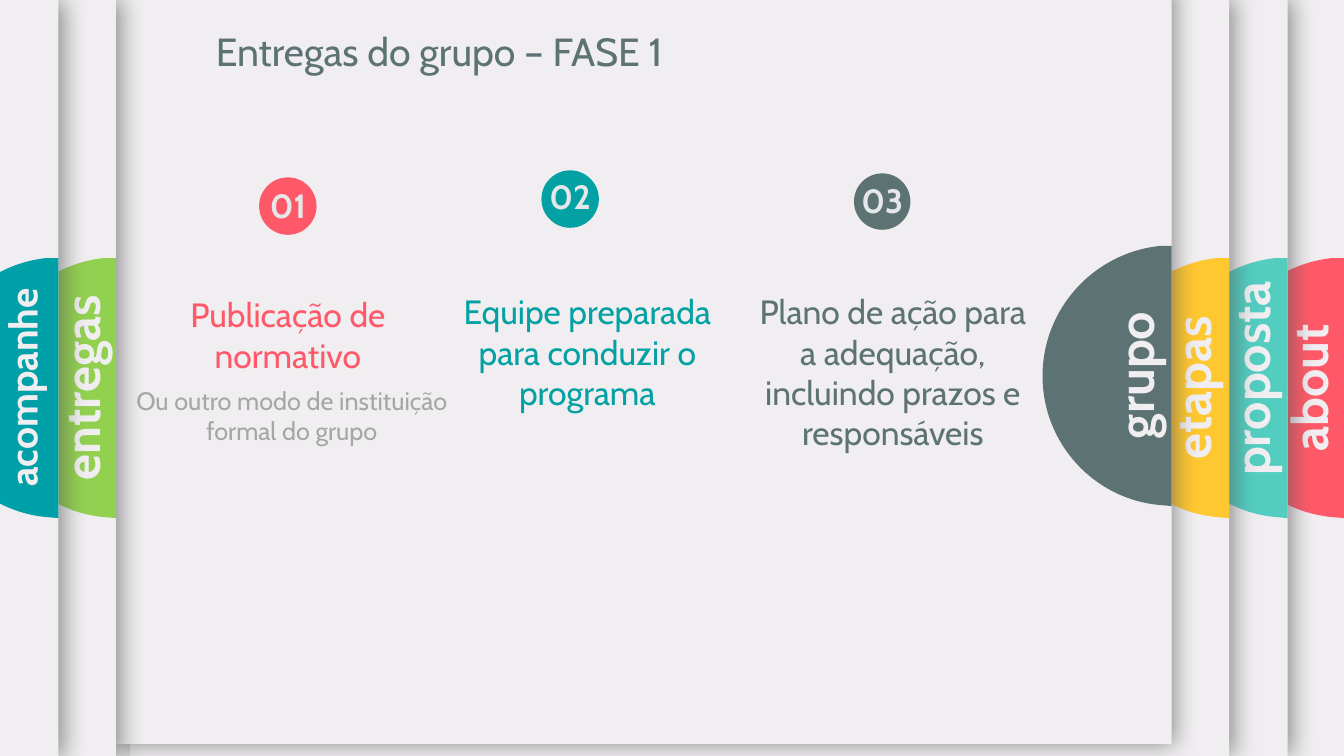
from dataclasses import dataclass

from lxml import etree
from pptx import Presentation
from pptx.dml.color import RGBColor
from pptx.enum.shapes import MSO_SHAPE
from pptx.enum.text import MSO_ANCHOR, MSO_AUTO_SIZE, PP_ALIGN
from pptx.oxml.ns import qn
from pptx.util import Inches, Pt

RECTANGLE, OVAL = MSO_SHAPE.RECTANGLE, MSO_SHAPE.OVAL
LEFT, CENTER = PP_ALIGN.LEFT, PP_ALIGN.CENTER
TOP = MSO_ANCHOR.TOP
GROW = MSO_AUTO_SIZE.SHAPE_TO_FIT_TEXT


@dataclass(frozen=True)
class Theme:
    font: str = "Cabin"
    paper: str = "F0EEF0"
    shadow: str = "595959"
    coral: str = "FF5969"
    mint: str = "52CDC0"
    yellow: str = "FFC730"
    slate: str = "5D7373"
    green: str = "92D050"
    blue: str = "00A0A8"
    teal: str = "03A1A4"
    number: str = "E6E7E9"
    note: str = "A6A6A6"
    tab_size: int = 36
    title_size: int = 28
    step_size: int = 24
    note_size: int = 18


THEME = Theme()

TITLE = "Entregas do grupo – FASE 1"
# label, left, right, top, colour, type size, label (left, top, height); back to front
PANELS = [
    ("about", -0.32, 13.33, 0, THEME.coral, THEME.tab_size, (11.89, 3.49, 0.71)),
    ("proposta", 0.25, 12.77, 0, THEME.mint, THEME.tab_size, (11.32, 3.4, 0.71)),
    ("etapas", 1.29, 12.19, 0, THEME.yellow, THEME.tab_size, (10.73, 3.49, 0.71)),
    ("grupo", 1.14, 11.62, -0.12, THEME.slate, THEME.tab_size, (10.17, 3.37, 0.71)),
    ("entregas", -8.35, 1.15, 0, THEME.green, THEME.tab_size, (-0.29, 3.49, 0.71)),
    ("acompanhe", -10.27, 0.58, 0, THEME.blue, THEME.title_size, (-0.87, 3.56, 0.57)),
]
# number, colour, badge (left, top, size), number top, heading, heading (left, top, height)
STEPS = [
    ("01", THEME.coral, (2.57, 1.76, 0.57), 1.79,
     "Publicação de normativo", (1.41, 2.87, 0.91)),
    ("02", THEME.teal, (5.37, 1.69, 0.57), 1.7,
     "Equipe preparada para conduzir o programa", (4.38, 2.84, 1.31)),
    ("03", THEME.slate, (8.47, 1.72, 0.56), 1.74,
     "Plano de ação para a adequação, incluindo prazos e responsáveis", (7.41, 2.84, 1.72)),
]
NOTE = "Ou outro modo de instituição formal do grupo"

SLIDE_WIDTH, SLIDE_HEIGHT = 13.33, 7.5
TAB_TOP = 2.56
# Tab outline from its top right corner: a straight edge, then two curves of three points
TAB_EDGE = [(0, 0), (0, 2.58), (-0.12, 2.57)]
TAB_CURVES = [(-0.77, 2.51), (-1.28, 1.96), (-1.28, 1.29),
              (-1.28, 0.62), (-0.77, 0.07), (-0.12, 0)]
LABEL_WIDTH = 2.18
NUMBER_WIDTH, NUMBER_HEIGHT = 0.72, 0.5
HEADING_WIDTH = 2.89


def paint(shape, color):
    shape.fill.solid()
    shape.fill.fore_color.rgb = RGBColor.from_string(color)
    shape.line.fill.background()
    shape.shadow.inherit = False


def cast_shadow(shape):
    """Add a soft shadow falling to the right."""
    effects = shape.element.spPr.find(qn("a:effectLst"))
    outer = etree.SubElement(effects, qn("a:outerShdw"), blurRad=str(Pt(17)),
                             dist=str(Pt(3)), dir="0", algn="l", rotWithShape="0")
    color = etree.SubElement(outer, qn("a:srgbClr"), val=THEME.shadow)
    etree.SubElement(color, qn("a:alpha"), val="65000")


def write(box, text, *, size, color, bold=False, align=CENTER):
    frame = box.text_frame
    frame.word_wrap = True
    frame.auto_size = GROW
    frame.vertical_anchor = TOP
    paragraph = frame.paragraphs[0]
    paragraph.alignment = align
    run = paragraph.add_run()
    run.text = text
    run.font.name = THEME.font
    run.font.size = Pt(size)
    run.font.bold = bold
    run.font.color.rgb = RGBColor.from_string(color)


def add_text(shapes, text, left, top, width, height, **style):
    box = shapes.add_textbox(Inches(left), Inches(top), Inches(width), Inches(height))
    write(box, text, **style)
    return box


def curve_last_points(shape, count):
    """Turn the last line segments of an outline into cubic curves, three points each."""
    segments = list(shape.element.iter(qn("a:lnTo")))[-count:]
    for start in range(0, count, 3):
        first, *others = segments[start:start + 3]
        curve = etree.Element(qn("a:cubicBezTo"))
        first.addprevious(curve)
        for segment in (first, *others):
            curve.append(segment[0])
            segment.getparent().remove(segment)


def add_tab(shapes, right, top, color):
    points = [(Inches(right + x), Inches(top + y)) for x, y in TAB_EDGE + TAB_CURVES]
    outline = shapes.build_freeform(*points[0])
    outline.add_line_segments(points[1:], close=True)
    tab = outline.convert_to_shape()
    curve_last_points(tab, len(TAB_CURVES))
    paint(tab, color)


def add_panel(slide, label, left, right, top, color, size, label_place):
    shapes = slide.shapes.add_group_shape().shapes
    sheet = shapes.add_shape(RECTANGLE, Inches(left), Inches(top),
                             Inches(right - left), Inches(SLIDE_HEIGHT))
    paint(sheet, THEME.paper)
    cast_shadow(sheet)
    add_tab(shapes, right, TAB_TOP + top, color)
    label_left, label_top, height = label_place
    tab_label = add_text(shapes, label, label_left, label_top, LABEL_WIDTH, height,
                         size=size, color=THEME.paper, bold=True)
    tab_label.rotation = 270


def add_step(slide, number, color, badge, number_top, heading, heading_place):
    left, top, size = badge
    shapes = slide.shapes.add_group_shape().shapes
    disc = shapes.add_shape(OVAL, Inches(left), Inches(top), Inches(size), Inches(size))
    paint(disc, color)
    add_text(shapes, number, left + (size - NUMBER_WIDTH) / 2, number_top,
             NUMBER_WIDTH, NUMBER_HEIGHT,
             size=THEME.step_size, color=THEME.number, bold=True)
    left, top, height = heading_place
    add_text(slide.shapes, heading, left, top, HEADING_WIDTH, height,
             size=THEME.step_size, color=color)


def main():
    deck = Presentation()
    deck.slide_width, deck.slide_height = Inches(SLIDE_WIDTH), Inches(SLIDE_HEIGHT)
    slide = deck.slides.add_slide(deck.slide_layouts[5])
    slide.background.fill.solid()
    slide.background.fill.fore_color.rgb = RGBColor.from_string(THEME.paper)

    for panel in PANELS:
        add_panel(slide, *panel)
    for step in STEPS:
        add_step(slide, *step)
    add_text(slide.shapes, NOTE, 1.23, 3.77, 3.33, 0.71,
             size=THEME.note_size, color=THEME.note)

    title = slide.shapes.title
    title.left, title.top = Inches(2.04), Inches(0.22)
    title.width, title.height = Inches(9.63), Inches(0.57)
    write(title, TITLE, size=THEME.title_size, color=THEME.slate, align=LEFT)
    title.element.getparent().append(title.element)  # in front of the panels

    deck.save("out.pptx")


if __name__ == "__main__":
    main()
